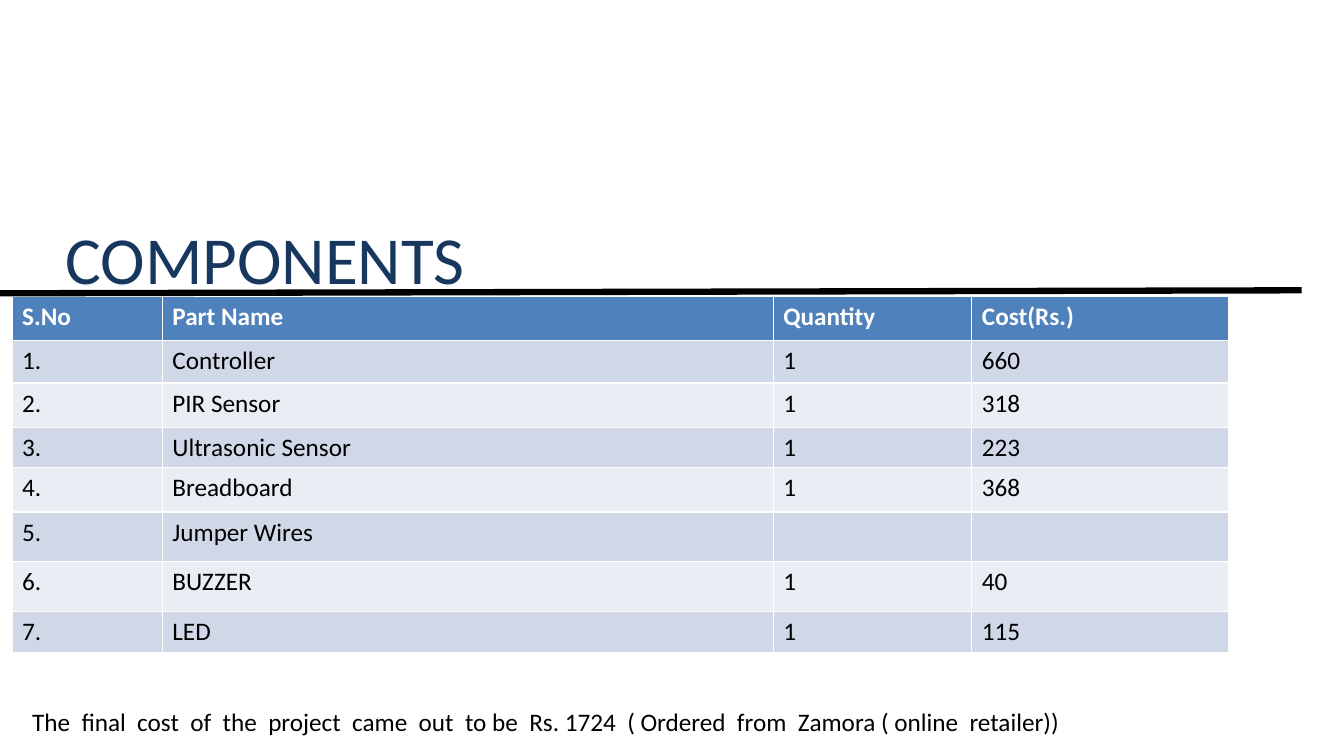
from pptx import Presentation
from pptx.dml.color import RGBColor
from pptx.enum.shapes import MSO_CONNECTOR
from pptx.enum.text import MSO_ANCHOR, PP_ALIGN
from pptx.oxml.ns import qn
from pptx.util import Inches, Pt
from lxml import etree

STRAIGHT = MSO_CONNECTOR.STRAIGHT
MIDDLE, TOP = MSO_ANCHOR.MIDDLE, MSO_ANCHOR.TOP
LEFT, RIGHT = PP_ALIGN.LEFT, PP_ALIGN.RIGHT

TITLE = "COMPONENTS"
HEADINGS = ("S.No", "Part Name", "Quantity", "Cost(Rs.)")
PARTS = [
    ("Controller", "1", "660"),
    ("PIR Sensor", "1", "318"),
    ("Ultrasonic Sensor", "1", "223"),
    ("Breadboard", "1", "368"),
    ("Jumper Wires", "", ""),
    ("BUZZER", "1", "40"),
    ("LED", "1", "115"),
]
TOTAL = ("The  final  cost  of  the  project  came  out  to be  Rs. 1724  "
         "( Ordered  from  Zamora ( online  retailer))")

FONT = "Calibri"
COLORS = {"title": "17375E", "heading": "4F81BD", "odd": "D0D8E8",
          "even": "E9EDF4", "text": "000000", "white": "FFFFFF"}
COLUMN_WIDTHS = (1.49, 6.06, 1.97, 2.55)
ROW_HEIGHTS = (0.44, 0.42, 0.44, 0.37, 0.44, 0.49, 0.5, 0.36)


def color(name):
    return RGBColor.from_string(COLORS[name])


def write(paragraph, text, size, color_name, bold=False):
    paragraph.text = text
    font = paragraph.font
    font.name, font.size, font.bold = FONT, Pt(size), bold
    font.color.rgb = color(color_name)


def add_text(slide, box, text, size, color_name, align=LEFT, anchor=TOP, inset=0.1):
    frame = slide.shapes.add_textbox(*map(Inches, box)).text_frame
    frame.word_wrap = True
    frame.vertical_anchor = anchor
    frame.margin_left = frame.margin_right = Inches(inset)
    write(frame.paragraphs[0], text, size, color_name)
    frame.paragraphs[0].alignment = align


def add_parts_table(slide):
    rows = [HEADINGS] + [(f"{number}.", *part) for number, part in enumerate(PARTS, 1)]
    table = slide.shapes.add_table(
        len(rows), len(HEADINGS), Inches(0.12), Inches(2.94),
        Inches(sum(COLUMN_WIDTHS)), Inches(sum(ROW_HEIGHTS))).table
    for column, width in zip(table.columns, COLUMN_WIDTHS):
        column.width = Inches(width)
    for index, (row, height, texts) in enumerate(zip(table.rows, ROW_HEIGHTS, rows)):
        row.height = Inches(height)
        heading = index == 0
        fill = "heading" if heading else "odd" if index % 2 else "even"
        for cell, text in zip(row.cells, texts):
            cell.fill.solid()
            cell.fill.fore_color.rgb = color(fill)
            write(cell.text_frame.paragraphs[0], text, 18,
                  "white" if heading else "text", heading)


def add_rule(slide):
    rule = slide.shapes.add_connector(
        STRAIGHT, Inches(-0.09), Inches(2.91), Inches(12.91), Inches(2.88))
    rule.line.color.rgb = color("text")
    rule.line.width = Pt(4.5)
    etree.SubElement(rule._element.spPr, qn("a:effectLst"))


def main():
    """Build the components and cost slide."""
    deck = Presentation()
    deck.slide_width, deck.slide_height = Inches(13.33), Inches(7.5)
    slide = deck.slides.add_slide(deck.slide_layouts[6])
    add_text(slide, (0.36, 2, 4.38, 1.11), TITLE, 48, "title", RIGHT, MIDDLE, 0.13)
    add_parts_table(slide)
    add_rule(slide)
    add_text(slide, (0.22, 6.96, 12.09, 0.4), TOTAL, 18, "text")
    deck.save("out.pptx")


if __name__ == "__main__":
    main()
